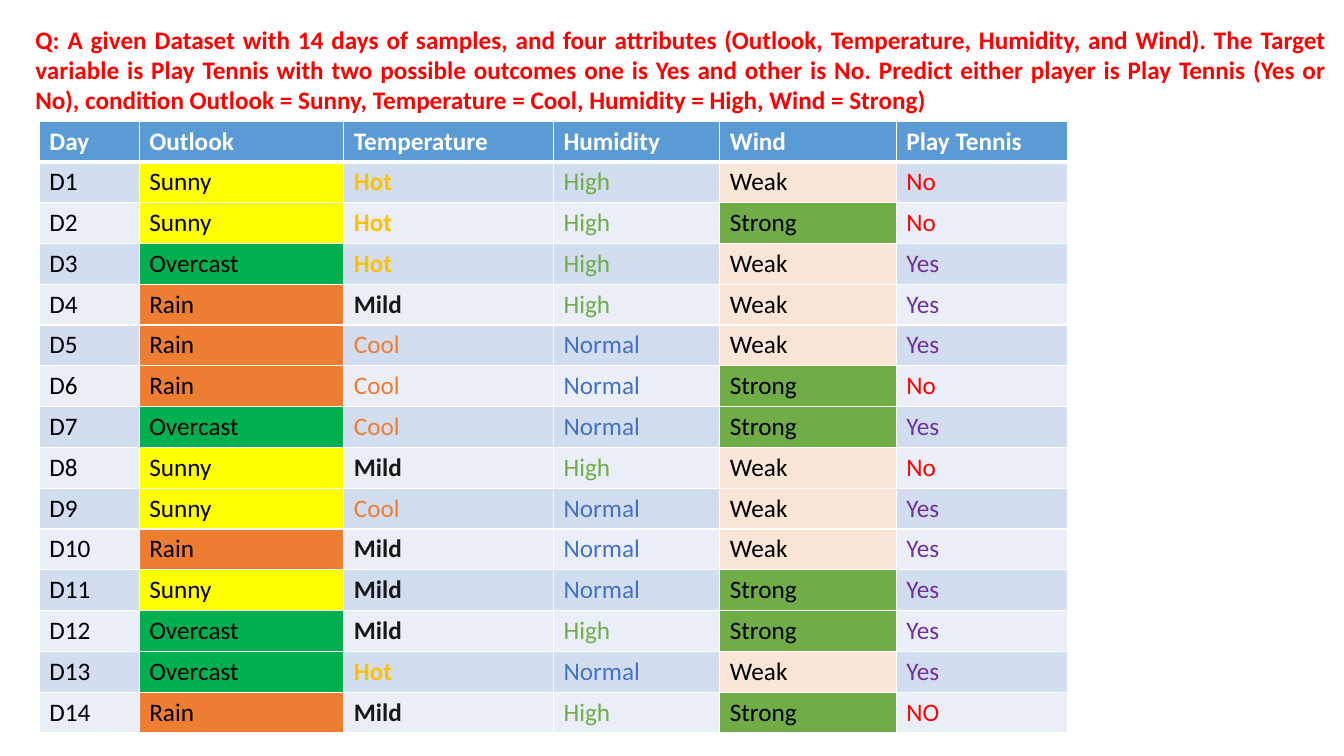
from dataclasses import dataclass
from typing import Any

from lxml.etree import SubElement
from pptx import Presentation
from pptx.dml.color import RGBColor
from pptx.enum.text import MSO_ANCHOR, MSO_AUTO_SIZE, PP_ALIGN
from pptx.oxml.ns import qn
from pptx.table import _Cell
from pptx.text.text import _Paragraph
from pptx.util import Inches, Pt

BLACK = RGBColor(0x00, 0x00, 0x00)
CHARCOAL = RGBColor(0x18, 0x17, 0x17)
WHITE = RGBColor(0xFF, 0xFF, 0xFF)
RED = RGBColor(0xFF, 0x00, 0x00)
YELLOW = RGBColor(0xFF, 0xFF, 0x00)
AMBER = RGBColor(0xFF, 0xC0, 0x00)
ORANGE = RGBColor(0xED, 0x7D, 0x31)
PEACH = RGBColor(0xFB, 0xE5, 0xD6)
GREEN = RGBColor(0x70, 0xAD, 0x47)
EMERALD = RGBColor(0x00, 0xB0, 0x50)
BLUE = RGBColor(0x44, 0x72, 0xC4)
PURPLE = RGBColor(0x70, 0x30, 0xA0)
HEADER_BLUE = RGBColor(0x5B, 0x9B, 0xD5)
BANDS = (RGBColor(0xEA, 0xEF, 0xF7), RGBColor(0xD2, 0xDE, 0xEF))

SLIDE_WIDTH = Inches(13.33)
SLIDE_HEIGHT = Inches(7.5)
ROW_PERCENT = 5.4
BODY_FONT = {"name": "Calibri", "size": Pt(18)}


@dataclass(frozen=True)
class Column:
    heading: str
    width_percent: float


@dataclass(frozen=True)
class Look:
    color: RGBColor = BLACK
    fill: RGBColor | None = None
    bold: bool = False


COLUMNS = [
    Column("Day", 7.43),
    Column("Outlook", 15.23),
    Column("Temperature", 15.6),
    Column("Humidity", 12.38),
    Column("Wind", 13.13),
    Column("Play Tennis", 12.75),
]
HEADER_LOOK = Look(WHITE, HEADER_BLUE, True)
VALUE_LOOKS = {
    "Sunny": Look(fill=YELLOW),
    "Overcast": Look(fill=EMERALD),
    "Rain": Look(fill=ORANGE),
    "Hot": Look(AMBER, bold=True),
    "Mild": Look(CHARCOAL, bold=True),
    "Cool": Look(ORANGE),
    "High": Look(GREEN),
    "Normal": Look(BLUE),
    "Weak": Look(fill=PEACH),
    "Strong": Look(fill=GREEN),
    "No": Look(RED),
    "NO": Look(RED),
    "Yes": Look(PURPLE),
}
SAMPLES = """Sunny Hot High Weak No
Sunny Hot High Strong No
Overcast Hot High Weak Yes
Rain Mild High Weak Yes
Rain Cool Normal Weak Yes
Rain Cool Normal Strong No
Overcast Cool Normal Strong Yes
Sunny Mild High Weak No
Sunny Cool Normal Weak Yes
Rain Mild Normal Weak Yes
Sunny Mild Normal Strong Yes
Overcast Mild High Strong Yes
Overcast Hot Normal Weak Yes
Rain Mild High Strong NO""".splitlines()
QUESTION = (
    "Q: A given Dataset with 14 days of samples, and four attributes "
    "(Outlook, Temperature, Humidity, and Wind). The Target variable is "
    "Play Tennis with two possible outcomes one is Yes and other is No. "
    "Predict either player is Play Tennis (Yes or No), condition "
    "Outlook = Sunny, Temperature = Cool, Humidity = High, Wind = Strong)"
)


def across(percent: float) -> int:
    return round(SLIDE_WIDTH * percent / 100)


def down(percent: float) -> int:
    return round(SLIDE_HEIGHT * percent / 100)


def apply_format(target: Any, values: dict[str, Any]) -> None:
    for name, value in values.items():
        setattr(target, name, value)


def write_text(paragraph: _Paragraph, text: str, look: Look) -> None:
    run = paragraph.add_run()
    run.text = text
    apply_format(run.font, BODY_FONT | {"bold": look.bold})
    run.font.color.rgb = look.color


def draw_borders(cell: _Cell, bottom_points: int) -> None:
    properties = cell._tc.get_or_add_tcPr()
    widths = {"lnL": 1, "lnR": 1, "lnT": 1, "lnB": bottom_points}
    for tag, points in widths.items():
        line = SubElement(properties, qn(f"a:{tag}"), w=str(Pt(points)))
        fill = SubElement(line, qn("a:solidFill"))
        SubElement(fill, qn("a:srgbClr"), val=str(WHITE))


def draw_cell(cell: _Cell, text: str, look: Look, band: RGBColor, bottom_points: int) -> None:
    draw_borders(cell, bottom_points)
    cell.fill.solid()
    cell.fill.fore_color.rgb = look.fill or band
    write_text(cell.text_frame.paragraphs[0], text, look)


def draw_samples(slide: Any) -> None:
    rows = [[column.heading for column in COLUMNS]]
    rows += [[f"D{day}", *sample.split()] for day, sample in enumerate(SAMPLES, 1)]
    width = across(sum(column.width_percent for column in COLUMNS))
    table = slide.shapes.add_table(
        len(rows), len(COLUMNS), across(2.93), down(16), width, down(ROW_PERCENT * len(rows))
    ).table
    for table_column, column in zip(table.columns, COLUMNS):
        table_column.width = across(column.width_percent)
    for row_index, values in enumerate(rows):
        table.rows[row_index].height = down(ROW_PERCENT)
        for column_index, value in enumerate(values):
            look = VALUE_LOOKS.get(value, Look()) if row_index else HEADER_LOOK
            draw_cell(
                table.cell(row_index, column_index), value, look,
                BANDS[row_index % 2], 1 if row_index else 3,
            )


def draw_question(slide: Any) -> None:
    title = slide.shapes.title
    apply_format(title, {
        "left": across(1.88), "top": down(2.53),
        "width": across(97.6), "height": down(13.47),
    })
    apply_format(title.text_frame, {
        "word_wrap": True,
        "auto_size": MSO_AUTO_SIZE.SHAPE_TO_FIT_TEXT,
        "vertical_anchor": MSO_ANCHOR.TOP,
    })
    paragraph = title.text_frame.paragraphs[0]
    paragraph.alignment = PP_ALIGN.JUSTIFY
    write_text(paragraph, QUESTION, Look(RED, bold=True))


def main() -> None:
    presentation = Presentation()
    apply_format(presentation, {"slide_width": SLIDE_WIDTH, "slide_height": SLIDE_HEIGHT})
    slide = presentation.slides.add_slide(presentation.slide_layouts.get_by_name("Title Only"))
    draw_samples(slide)
    draw_question(slide)
    presentation.save("out.pptx")


if __name__ == "__main__":
    main()
